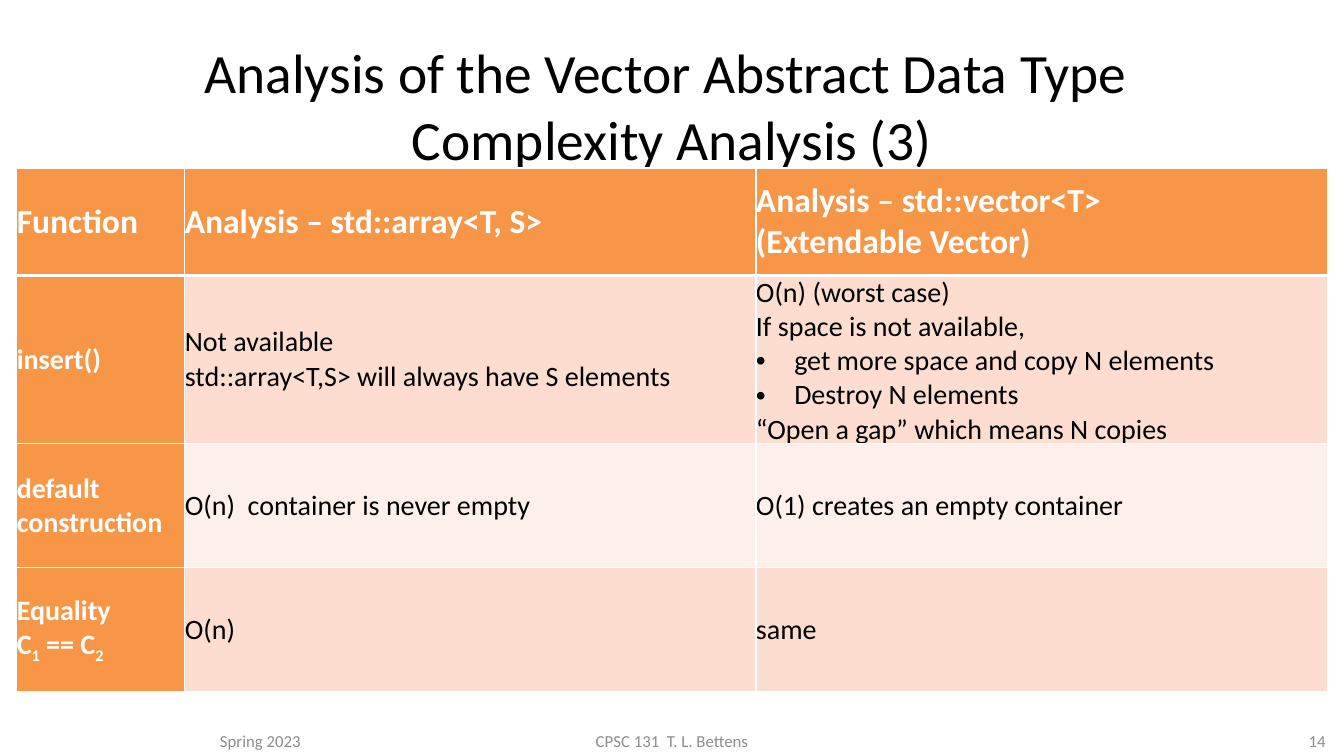
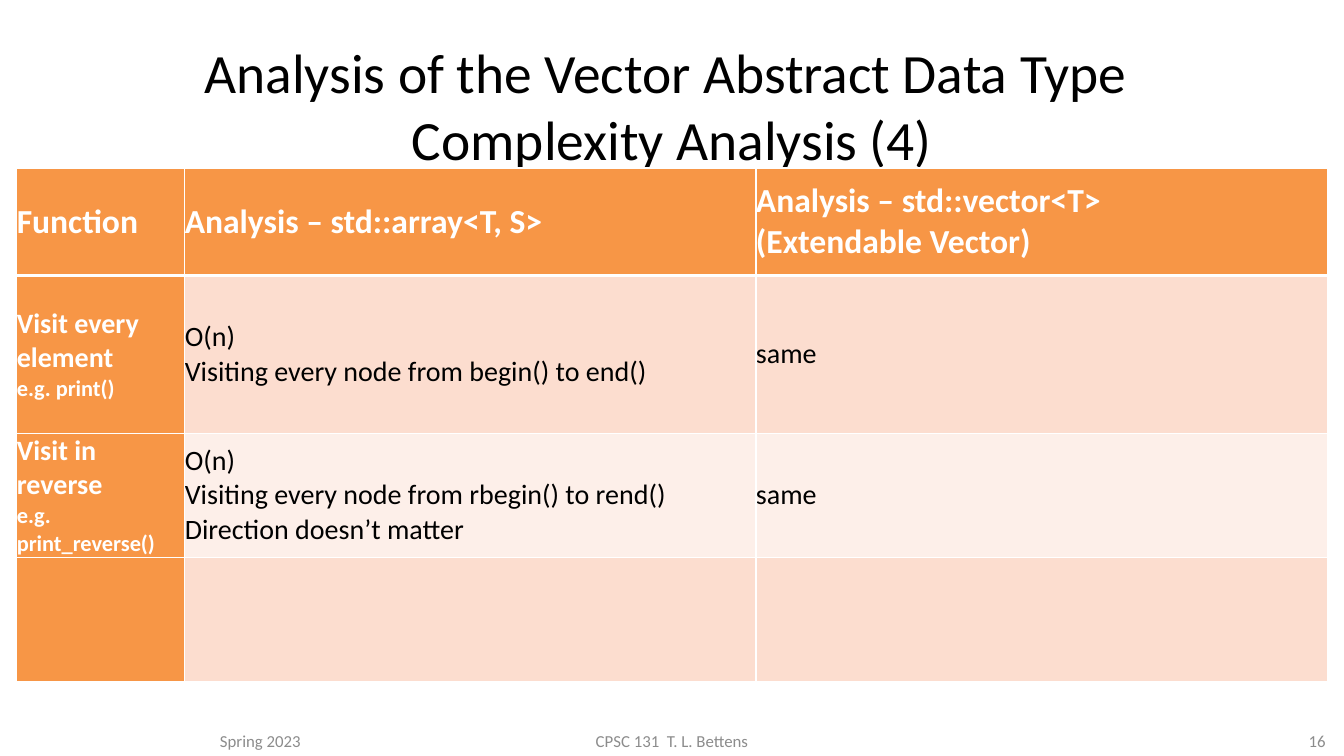
from typing import NamedTuple

from lxml.etree import SubElement
from pptx import Presentation
from pptx.dml.color import RGBColor
from pptx.enum.text import MSO_ANCHOR, MSO_AUTO_SIZE, PP_ALIGN
from pptx.oxml.ns import qn
from pptx.util import Inches, Pt

WIDE, HIGH = Inches(13.33), Inches(7.5)
UNIT = WIDE / 80
FACE = "Calibri"

BLACK = RGBColor(0x00, 0x00, 0x00)
WHITE = RGBColor(0xFF, 0xFF, 0xFF)
GRAY = RGBColor(0x8C, 0x8C, 0x8C)
ORANGE = RGBColor(0xF7, 0x96, 0x46)
PEACH = RGBColor(0xFC, 0xDD, 0xCF)
CREAM = RGBColor(0xFD, 0xEF, 0xE9)

COLS = (10, 34, 34)
ROWS = (6.4, 9.4, 7.4, 7.4)


class Line(NamedTuple):
    runs: tuple
    size: float = 20
    dot: bool = False


class Sub(str):
    pass


def plain(*texts, size=20):
    return [Line((text,), size) for text in texts]


HEAD = [
    plain("Function", size=24),
    plain("Analysis – std::array<T, S>", size=24),
    plain("Analysis – std::vector<T>", "(Extendable Vector)", size=24),
]

PAGES = [
    ("14", "Complexity Analysis (3)", [
        [plain("insert()"),
         plain("Not available", "std::array<T,S> will always have S elements"),
         plain("O(n) (worst case)", "If space is not available,")
         + [Line(("get more space and copy N elements",), dot=True),
            Line(("Destroy N elements",), dot=True)]
         + plain("“Open a gap” which means N copies")],
        [plain("default construction"),
         plain("O(n)  container is never empty"),
         plain("O(1) creates an empty container")],
        [plain("Equality") + [Line(("C", Sub("1"), " == C", Sub("2")))],
         plain("O(n)"),
         plain("same")],
    ]),
    ("16", "Complexity Analysis (4)", [
        [plain("Visit every element") + plain("e.g. print()", size=16),
         plain("O(n)", "Visiting every node from begin() to end()"),
         plain("same")],
        [plain("Visit in reverse") + plain("e.g. print_reverse()", size=16),
         plain("O(n)", "Visiting every node from rbegin() to rend()",
               "Direction doesn’t matter"),
         plain("same")],
        [[], [], []],
    ]),
]


def span(*units):
    return [round(n * UNIT) for n in units]


def add_run(para, text, size, color, bold=False):
    run = para.add_run()
    run.text = text
    font = run.font
    font.name, font.size, font.bold = FACE, Pt(size), bold
    font.color.rgb = color
    if isinstance(text, Sub):
        run._r.get_or_add_rPr().set("baseline", "-25000")


def add_dot(para):
    props = para._p.get_or_add_pPr()
    props.set("marL", str(Inches(0.38)))
    props.set("indent", str(-Inches(0.38)))
    SubElement(props, qn("a:buFont")).set("typeface", "Arial")
    SubElement(props, qn("a:buChar")).set("char", "•")


def add_edge(cell, side, width):
    props = cell._tc.get_or_add_tcPr()
    edge = SubElement(props, qn("a:ln" + side), w=str(Pt(width)))
    fill = SubElement(edge, qn("a:solidFill"))
    SubElement(fill, qn("a:srgbClr"), val=str(WHITE))


def fill_cell(cell, lines, row, col):
    for side in "LRTB":
        thick = (row, side) in ((0, "B"), (1, "T"))
        add_edge(cell, side, 3 if thick else 1)
    label = row == 0 or col == 0
    cell.fill.solid()
    cell.fill.fore_color.rgb = ORANGE if label else PEACH if row % 2 else CREAM
    cell.vertical_anchor = MSO_ANCHOR.MIDDLE
    cell.margin_left = cell.margin_right = 0
    cell.margin_top = cell.margin_bottom = 0
    frame = cell.text_frame
    for n, line in enumerate(lines):
        para = frame.add_paragraph() if n else frame.paragraphs[0]
        if line.dot:
            add_dot(para)
        for text in line.runs:
            add_run(para, text, line.size, WHITE if label else BLACK, label)


def add_grid(slide, rows):
    place = span(1, 10, sum(COLS), sum(ROWS))
    grid = slide.shapes.add_table(len(ROWS), len(COLS), *place).table
    grid.first_row = grid.horz_banding = False
    for col, width in zip(grid.columns, span(*COLS)):
        col.width = width
    for row, height in zip(grid.rows, span(*ROWS)):
        row.height = height
    for r, cells in enumerate([HEAD] + rows):
        for c, lines in enumerate(cells):
            fill_cell(grid.cell(r, c), lines, r, c)


def set_title(slide, part):
    title = slide.shapes.title
    title.left, title.top, title.width, title.height = span(1, 1.8, 78, 7.5)
    frame = title.text_frame
    frame.word_wrap = True
    frame.auto_size = MSO_AUTO_SIZE.NONE
    frame.vertical_anchor = MSO_ANCHOR.TOP
    frame.margin_top = Inches(0.08)
    para = frame.paragraphs[0]
    para.alignment = PP_ALIGN.CENTER
    add_run(para, "Analysis of the Vector Abstract Data Type ", 39.6, BLACK)
    para.add_line_break()
    add_run(para, part, 39.6, BLACK)


def add_foot(slide, page):
    notes = (
        ("Spring 2023", 12.5, 14, PP_ALIGN.LEFT),
        ("CPSC 131  T. L. Bettens", 26.5, 27, PP_ALIGN.CENTER),
        (page, 61.5, 18, PP_ALIGN.RIGHT),
    )
    for text, left, width, align in notes:
        box = slide.shapes.add_textbox(*span(left, 41.7, width, 3.3))
        frame = box.text_frame
        frame.word_wrap = True
        frame.vertical_anchor = MSO_ANCHOR.BOTTOM
        para = frame.paragraphs[0]
        para.alignment = align
        add_run(para, text, 12, GRAY)


def main():
    deck = Presentation()
    deck.slide_width, deck.slide_height = WIDE, HIGH
    for page, part, rows in PAGES:
        slide = deck.slides.add_slide(deck.slide_layouts[5])
        add_foot(slide, page)
        set_title(slide, part)
        add_grid(slide, rows)
    deck.save("out.pptx")


if __name__ == "__main__":
    main()
